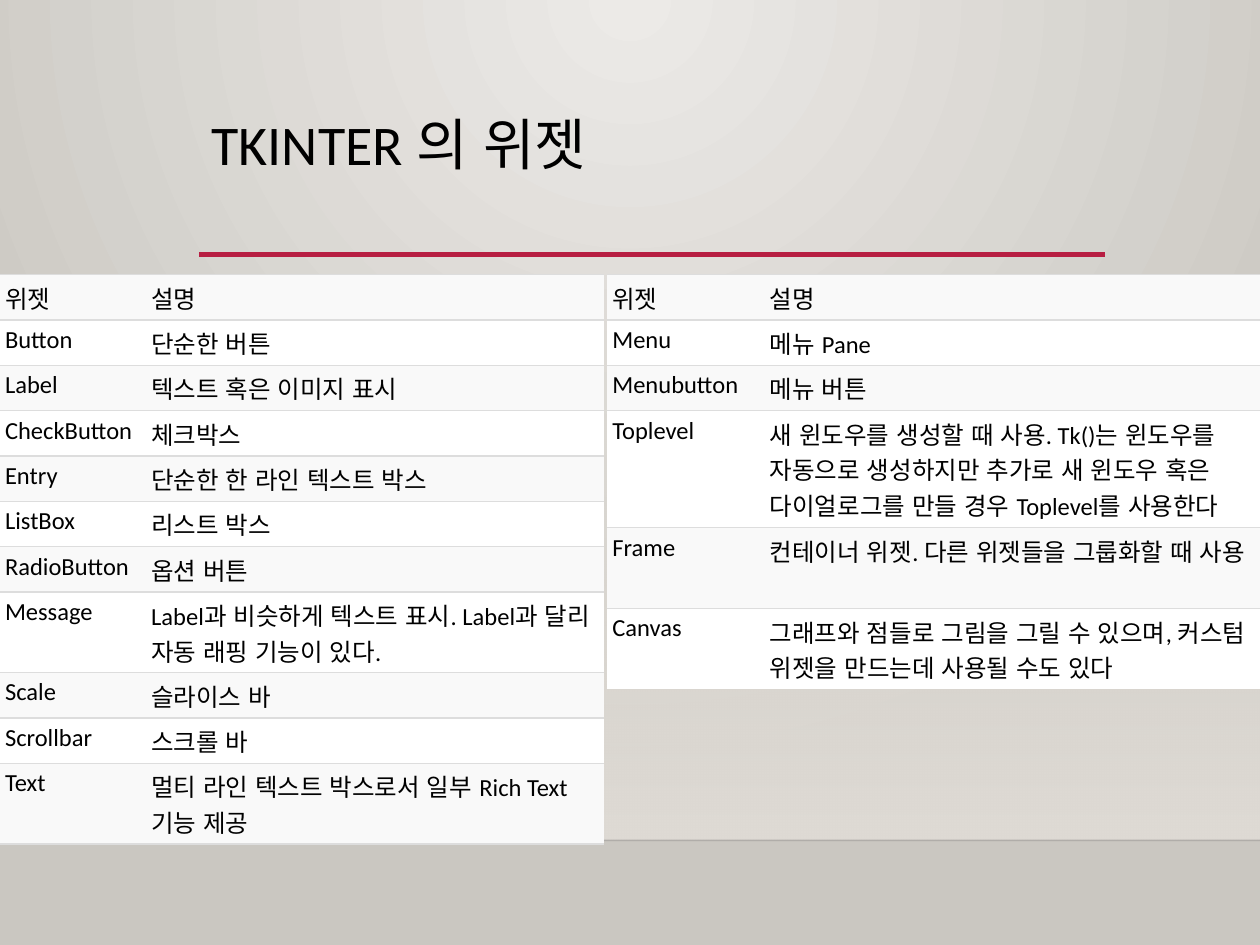
from lxml import etree
from pptx import Presentation
from pptx.dml.color import RGBColor
from pptx.enum.lang import MSO_LANGUAGE_ID
from pptx.enum.shapes import MSO_CONNECTOR, MSO_SHAPE
from pptx.enum.text import MSO_ANCHOR
from pptx.oxml import parse_xml
from pptx.oxml.ns import nsdecls, qn
from pptx.util import Inches, Pt

STRAIGHT = MSO_CONNECTOR.STRAIGHT
RECT = MSO_SHAPE.RECTANGLE
TOP = MSO_ANCHOR.TOP
KOREAN = MSO_LANGUAGE_ID.KOREAN

# Content: each row is widget, description, number of text lines
TITLE = "TKINTER 의 위젯"
HEADER = ("위젯", "설명", 1)
TABLES = [
    dict(left=0, cols=(1.16, 3.63), last_line=True,
         rows=[HEADER,
               ("Button", "단순한 버튼", 1),
               ("Label", "텍스트 혹은 이미지 표시", 1),
               ("CheckButton", "체크박스", 1),
               ("Entry", "단순한 한 라인 텍스트 박스", 1),
               ("ListBox", "리스트 박스", 1),
               ("RadioButton", "옵션 버튼", 1),
               ("Message", "Label과 비슷하게 텍스트 표시. Label과 달리 자동 래핑 기능이 있다.", 2),
               ("Scale", "슬라이스 바", 1),
               ("Scrollbar", "스크롤 바", 1),
               ("Text", "멀티 라인 텍스트 박스로서 일부 Rich Text 기능 제공", 2)]),
    dict(left=4.82, cols=(1.25, 3.93), last_line=False,
         rows=[HEADER,
               ("Menu", "메뉴 Pane", 1),
               ("Menubutton", "메뉴 버튼", 1),
               ("Toplevel", "새 윈도우를 생성할 때 사용. Tk()는 윈도우를 자동으로 생성하지만 "
                            "추가로 새 윈도우 혹은 다이얼로그를 만들 경우 Toplevel를 사용한다", 3),
               ("Frame", "컨테이너 위젯. 다른 위젯들을 그룹화할 때 사용", 2),
               ("Canvas", "그래프와 점들로 그림을 그릴 수 있으며, "
                          "커스텀 위젯을 만드는데 사용될 수도 있다", 2)]),
]

# Style
FONT = "Calibri"
BLACK = RGBColor(0x00, 0x00, 0x00)
NEAR_BLACK = RGBColor(0x00, 0x00, 0x01)
CRIMSON = RGBColor(0xB7, 0x1E, 0x42)
BAND_FILLS = (RGBColor(0xF9, 0xF9, 0xF9), RGBColor(0xFF, 0xFF, 0xFF))
RULE = RGBColor(0xDD, 0xDD, 0xDD)
GLOW, EDGE = RGBColor(0xEC, 0xEA, 0xE7), RGBColor(0xCA, 0xC7, 0xC1)
FLOOR = RGBColor(0xDF, 0xDB, 0xD5)
NO_STYLE = "{2D5ABB26-0587-4C30-8999-92F81FD0307C}"
WIDTH, HEIGHT = 10, 7.5
TITLE_LEFT, TITLE_WIDTH = 1.58, 7.19
TABLE_TOP, CELL_INSET, RIGHT_INSET = 2.18, 0.04, 0.08
ROW_HEIGHTS = {1: 0.36, 2: 0.64, 3: 0.93}
FLOOR_TOP, FLOOR_LINE = 2.2, 6.67


def set_gradient(fill, stops, direction):
    """Replace the stops and direction of a fill; a stop is (percent, colour, opacity)."""
    fill.gradient()
    grad = fill._xPr.find(qn("a:gradFill"))
    stop_xml = "".join(
        f'<a:gs pos="{pos * 1000}"><a:srgbClr val="{color}">'
        f'<a:alpha val="{opacity * 1000}"/></a:srgbClr></a:gs>'
        for pos, color, opacity in stops)
    new = parse_xml(f'<a:gradFill {nsdecls("a")} rotWithShape="1">'
                    f'<a:gsLst>{stop_xml}</a:gsLst>{direction}</a:gradFill>')
    grad.getparent().replace(grad, new)


def add_line(x1, x2, y, color, width, opacity=100):
    line = s.shapes.add_connector(STRAIGHT, Inches(x1), Inches(y), Inches(x2), Inches(y))
    line.line.color.rgb = color
    line.line.width = Pt(width)
    sppr = line._element.spPr
    if opacity < 100:
        etree.SubElement(next(sppr.iter(qn("a:srgbClr"))), qn("a:alpha"),
                         val=str(opacity * 1000))
    etree.SubElement(sppr, qn("a:effectLst"))


def format_text(p, size):
    for r in p.runs:
        r.font.name = FONT
        r.font.size = Pt(size)
        r.font.color.rgb = BLACK
        r.font.language_id = KOREAN


def set_borders(cell, sides):
    tcpr = cell._tc.get_or_add_tcPr()
    for i, side in enumerate(sides):
        tcpr.insert(i, parse_xml(
            f'<a:ln{side} {nsdecls("a")} w="{Pt(0.75)}"><a:solidFill>'
            f'<a:srgbClr val="{RULE}"/></a:solidFill></a:ln{side}>'))


def add_widget_table(left, cols, last_line, rows):
    heights = [ROW_HEIGHTS[lines] for _, _, lines in rows]
    frame = s.shapes.add_table(len(rows), len(cols), Inches(left), Inches(TABLE_TOP),
                               Inches(sum(cols)), Inches(sum(heights)))
    table = frame.table
    table.first_row = table.horz_banding = False
    table._tbl.tblPr.find(qn("a:tableStyleId")).text = NO_STYLE
    for col, width in zip(table.columns, cols):
        col.width = Inches(width)
    for i, ((*values, _), height) in enumerate(zip(rows, heights)):
        table.rows[i].height = Inches(height)
        has_bottom = last_line or i < len(rows) - 1
        for j, value in enumerate(values):
            cell = table.cell(i, j)
            cell.text = value
            cell.margin_left = cell.margin_top = cell.margin_bottom = Inches(CELL_INSET)
            cell.margin_right = Inches(RIGHT_INSET if j else CELL_INSET)
            cell.vertical_anchor = TOP
            cell.fill.solid()
            cell.fill.fore_color.rgb = BAND_FILLS[i % 2]
            set_borders(cell, "TB" if has_bottom else "T")
            format_text(cell.text_frame.paragraphs[0], 14)


prs = Presentation()
prs.slide_width, prs.slide_height = Inches(WIDTH), Inches(HEIGHT)
s = prs.slides.add_slide(prs.slide_layouts[6])

# Backdrop
set_gradient(s.background.fill, [(0, GLOW, 100), (100, EDGE, 100)],
             '<a:path path="circle"><a:fillToRect l="43000" r="43000" b="100000"/></a:path>')
floor = s.shapes.add_shape(RECT, 0, Inches(FLOOR_TOP), Inches(WIDTH),
                           Inches(FLOOR_LINE - FLOOR_TOP))
floor.shadow.inherit = False
floor.line.fill.background()
set_gradient(floor.fill, [(0, FLOOR, 0), (100, FLOOR, 100)], '<a:lin ang="5400000" scaled="0"/>')
add_line(0, WIDTH, FLOOR_LINE, NEAR_BLACK, 1, opacity=20)
add_line(TITLE_LEFT, TITLE_LEFT + TITLE_WIDTH, 2.02, CRIMSON, 2.5)

# Title
title = s.shapes.add_textbox(Inches(TITLE_LEFT), Inches(0.88), Inches(TITLE_WIDTH), Inches(1.15))
tf = title.text_frame
tf.word_wrap = True
tf.vertical_anchor = TOP
tf.text = TITLE
tf.paragraphs[0].line_spacing = 0.9
format_text(tf.paragraphs[0], 32)

# Widget tables
for widget_table in TABLES:
    add_widget_table(**widget_table)

prs.save("out.pptx")
